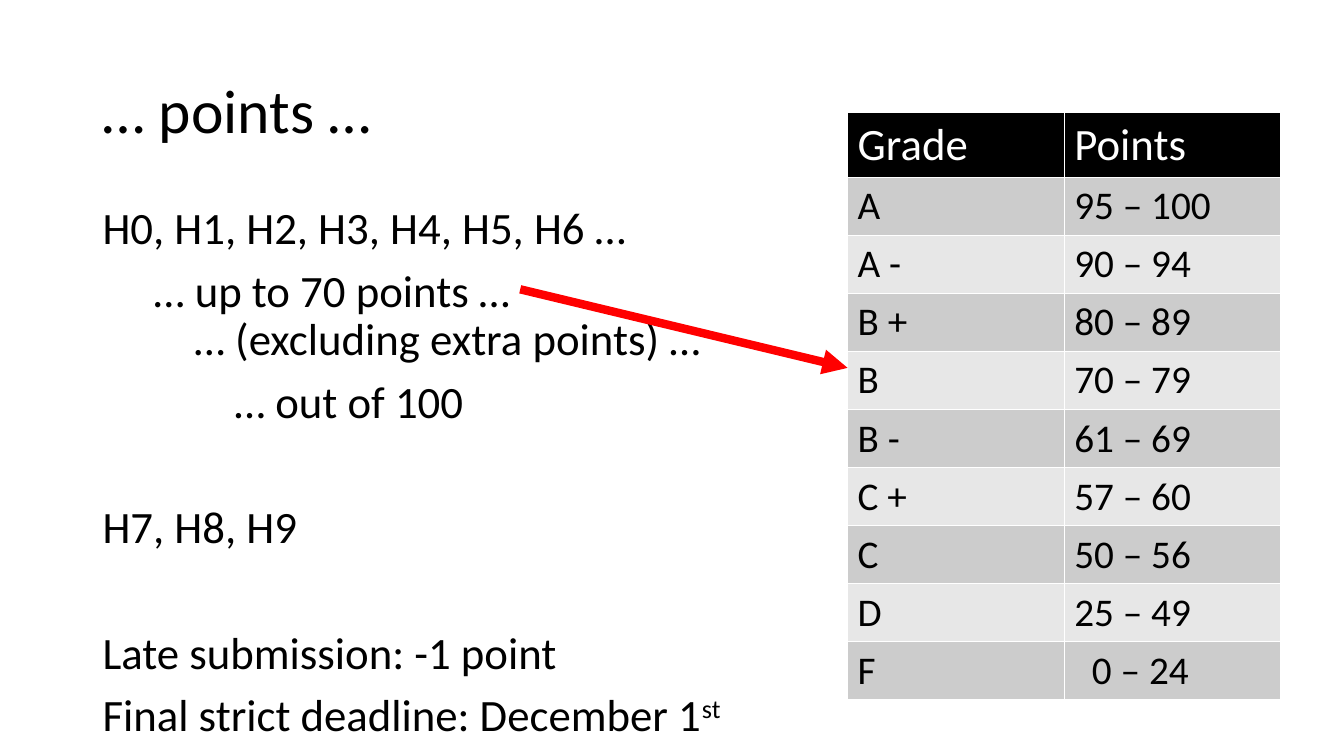
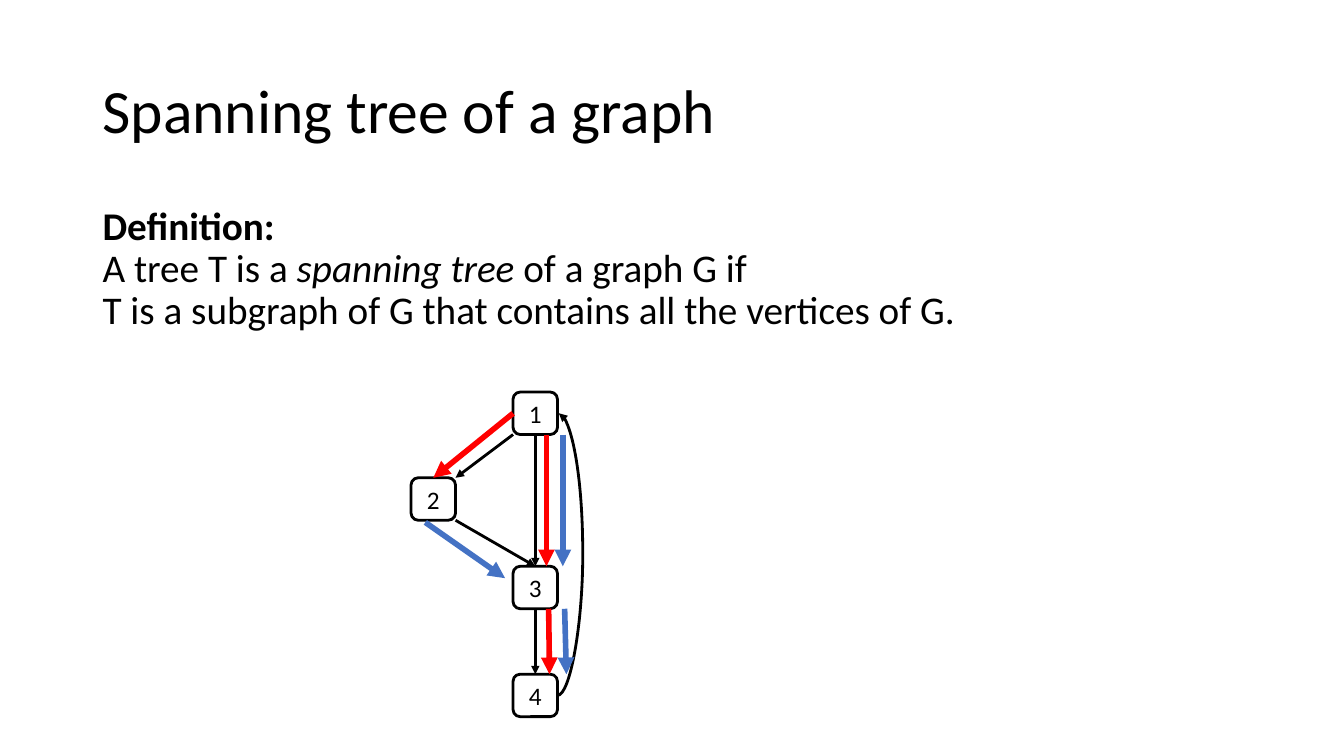
from lxml import etree
from pptx import Presentation
from pptx import util as u
from pptx.dml.color import RGBColor
from pptx.enum import shapes, text
from pptx.oxml.ns import qn

Cm, Pt = u.Cm, u.Pt
FONT = "Calibri"
COLORS = {
    "ink": "000000",
    "paper": "FFFFFF",
    "band_dark": "CCCCCC",
    "band_light": "E7E7E7",
    "red": "FF0000",
    "blue": "4472C4",
}
LEFT, CONTENT_WIDTH = 2.33, 29.21

GRADES = [
    ("Grade", "Points"),
    ("A", "95 – 100"),
    ("A -", "90 – 94"),
    ("B +", "80 – 89"),
    ("B", "70 – 79"),
    ("B -", "61 – 69"),
    ("C +", "57 – 60"),
    ("C", "50 – 56"),
    ("D", "25 – 49"),
    ("F", "0 – 24"),
]

# Each line: indent in cm, space before in points, runs of (text, style).
POINT_LINES = [
    (0, 0, [("H0, H1, H2, H3, H4, H5, H6 …", "")]),
    (1.29, 10, [("… up to 70 points …", "")]),
    (2.31, 0, [("… (excluding extra points) …", "")]),
    (3.32, 10, [("… out of 100", "")]),
    (0, 55, [("H7, H8, H9", "")]),
    (0, 55, [("Late submission: -1 point", "")]),
    (0, 10, [("Final strict deadline: December 1", ""), ("st", "super")]),
]
DEFINITION_LINES = [
    (0, 0, [("Definition:", "bold")]),
    (0, 0, [("A tree T is a ", ""), ("spanning tree", "italic"),
            (" of a graph G if", "")]),
    (0, 0, [("T is a subgraph of G that contains all the vertices of G.", "")]),
]

# Vertices: offset in cm from the top left of the graph.
VERTEX_WIDTH, VERTEX_HEIGHT = 1.12, 1.07
VERTICES = {1: (2.57, 0), 2: (0, 2.16), 3: (2.57, 4.39), 4: (2.57, 7.11)}
# Edges: each end is a vertex and the fractions of its width and height.
EDGES = {
    ("ink", 2): [
        ((1, 0, 1), (2, 1, 0)),
        ((2, 1, 1), (3, 0.5, 0)),
        ((1, 0.5, 1), (3, 0.5, 0)),
        ((3, 0.5, 1), (4, 0.5, 0)),
    ],
    ("red", 4): [
        ((1, 0, 0.5), (2, 0.5, 0)),
        ((1, 0.75, 1), (3, 0.75, 0)),
        ((3, 0.8, 1), (4, 0.82, 0)),
    ],
    ("blue", 4): [
        ((2, 0.32, 1.05), (3, -0.18, 0.28)),
        ((1, 1.12, 1), (3, 1.12, 0)),
        ((3, 1.16, 1), (4, 1.2, 0)),
    ],
}
BACK_EDGE = ((4, 1, 0.5), (1, 1.03, 0.5))
BACK_EDGE_BULGE = 0.63


def rgb(name):
    return RGBColor.from_string(COLORS[name])


def style_font(paragraph, size, color="ink"):
    paragraph.font.name = FONT
    paragraph.font.size = Pt(size)
    paragraph.font.color.rgb = rgb(color)


def place(shape, left, top, width, height):
    shape.left, shape.top = Cm(left), Cm(top)
    shape.width, shape.height = Cm(width), Cm(height)


def add_titled_slide(prs, title):
    slide = prs.slides.add_slide(prs.slide_layouts[1])
    heading = slide.shapes.title
    place(heading, LEFT, 1.01, CONTENT_WIDTH, 3.68)
    frame = heading.text_frame
    frame.text = title
    frame.auto_size = text.MSO_AUTO_SIZE.NONE
    frame.vertical_anchor = text.MSO_ANCHOR.MIDDLE
    line = frame.paragraphs[0]
    line.alignment = text.PP_ALIGN.LEFT
    line.line_spacing = 0.9
    style_font(line, 44)
    return slide


def fill_body(slide, lines, width, height, size):
    body = slide.placeholders[1]
    place(body, LEFT, 5.07, width, height)
    frame = body.text_frame
    frame.auto_size = text.MSO_AUTO_SIZE.NONE
    for number, (indent, before, runs) in enumerate(lines):
        line = frame.add_paragraph() if number else frame.paragraphs[0]
        properties = line._p.get_or_add_pPr()
        properties.set("marL", str(Cm(indent)))
        properties.set("indent", "0")
        etree.SubElement(properties, qn("a:buNone"))
        line.line_spacing = 0.9
        line.space_before = Pt(before)
        style_font(line, size)
        for words, style in runs:
            run = line.add_run()
            run.text = words
            if style == "bold":
                run.font.bold = True
            elif style == "italic":
                run.font.italic = True
            elif style == "super":
                run.font._element.set("baseline", "30000")


def add_arrow(slide, start, end, color, weight,
              kind=shapes.MSO_CONNECTOR.STRAIGHT):
    arrow = slide.shapes.add_connector(
        kind, *(Cm(length) for length in (*start, *end)))
    arrow.line.color.rgb = rgb(color)
    arrow.line.width = Pt(weight)
    properties = arrow.element.spPr
    outline = properties.find(qn("a:ln"))
    etree.SubElement(outline, qn("a:tailEnd"), type="triangle")
    etree.SubElement(properties, qn("a:effectLst"))
    return arrow


def add_grade_table(slide, left, top, width, header_height, row_height):
    height = header_height + row_height * (len(GRADES) - 1)
    table = slide.shapes.add_table(
        len(GRADES), 2, Cm(left), Cm(top), Cm(width), Cm(height)).table
    for row_number, entries in enumerate(GRADES):
        header = row_number == 0
        table.rows[row_number].height = Cm(header_height if header else row_height)
        band = "ink" if header else ("band_light", "band_dark")[row_number % 2]
        for cell, entry in zip(table.rows[row_number].cells, entries):
            cell.text = entry
            cell.fill.solid()
            cell.fill.fore_color.rgb = rgb(band)
            line = cell.text_frame.paragraphs[0]
            style_font(line, 32 if header else 28, "paper" if header else "ink")
            line.font.bold = False
    # The single-digit lower bound lines up with the others.
    table.cell(len(GRADES) - 1, 1).margin_left = Cm(0.7)


def add_vertex(slide, label, left, top):
    vertex = slide.shapes.add_shape(
        shapes.MSO_SHAPE.ROUNDED_RECTANGLE,
        Cm(left), Cm(top), Cm(VERTEX_WIDTH), Cm(VERTEX_HEIGHT))
    vertex.shadow.inherit = False
    vertex.fill.background()
    vertex.line.color.rgb = rgb("ink")
    vertex.line.width = Pt(2)
    frame = vertex.text_frame
    frame.margin_left = frame.margin_right = 0
    frame.margin_top = frame.margin_bottom = 0
    frame.vertical_anchor = text.MSO_ANCHOR.MIDDLE
    frame.text = str(label)
    line = frame.paragraphs[0]
    line.alignment = text.PP_ALIGN.CENTER
    style_font(line, 18)


def add_graph(slide, left, top):
    """Draw the graph in black and its two spanning trees in red and blue."""
    def point(vertex, across, down):
        x, y = VERTICES[vertex]
        return left + x + across * VERTEX_WIDTH, top + y + down * VERTEX_HEIGHT

    for label, (x, y) in VERTICES.items():
        add_vertex(slide, label, left + x, top + y)

    start, end = (point(*anchor) for anchor in BACK_EDGE)
    back_edge = add_arrow(slide, start, end, "ink", 2, shapes.MSO_CONNECTOR.CURVE)
    bulge = round(BACK_EDGE_BULGE / (end[0] - start[0]) * 100000)
    guides = back_edge.element.spPr.find(qn("a:prstGeom")).find(qn("a:avLst"))
    etree.SubElement(guides, qn("a:gd"), name="adj1", fmla=f"val {bulge}")

    for (color, weight), edges in EDGES.items():
        for tail, head in edges:
            add_arrow(slide, point(*tail), point(*head), color, weight)


def build_points_slide(prs):
    slide = add_titled_slide(prs, "… points …")
    fill_body(slide, POINT_LINES, 16.87, 13.98, 32)
    table_left = 21.36
    add_grade_table(slide, table_left, 2.84, 10.92, 1.63, 1.46)
    add_arrow(slide, (13.11, 7.29), (table_left, 9.27), "red", 6)


def build_spanning_tree_slide(prs):
    slide = add_titled_slide(prs, "Spanning tree of a graph")
    fill_body(slide, DEFINITION_LINES, CONTENT_WIDTH, 4.45, 28)
    add_graph(slide, 10.36, 9.88)


def main():
    prs = Presentation()
    prs.slide_width, prs.slide_height = Cm(33.87), Cm(19.05)
    build_points_slide(prs)
    build_spanning_tree_slide(prs)
    prs.save("out.pptx")


if __name__ == "__main__":
    main()
